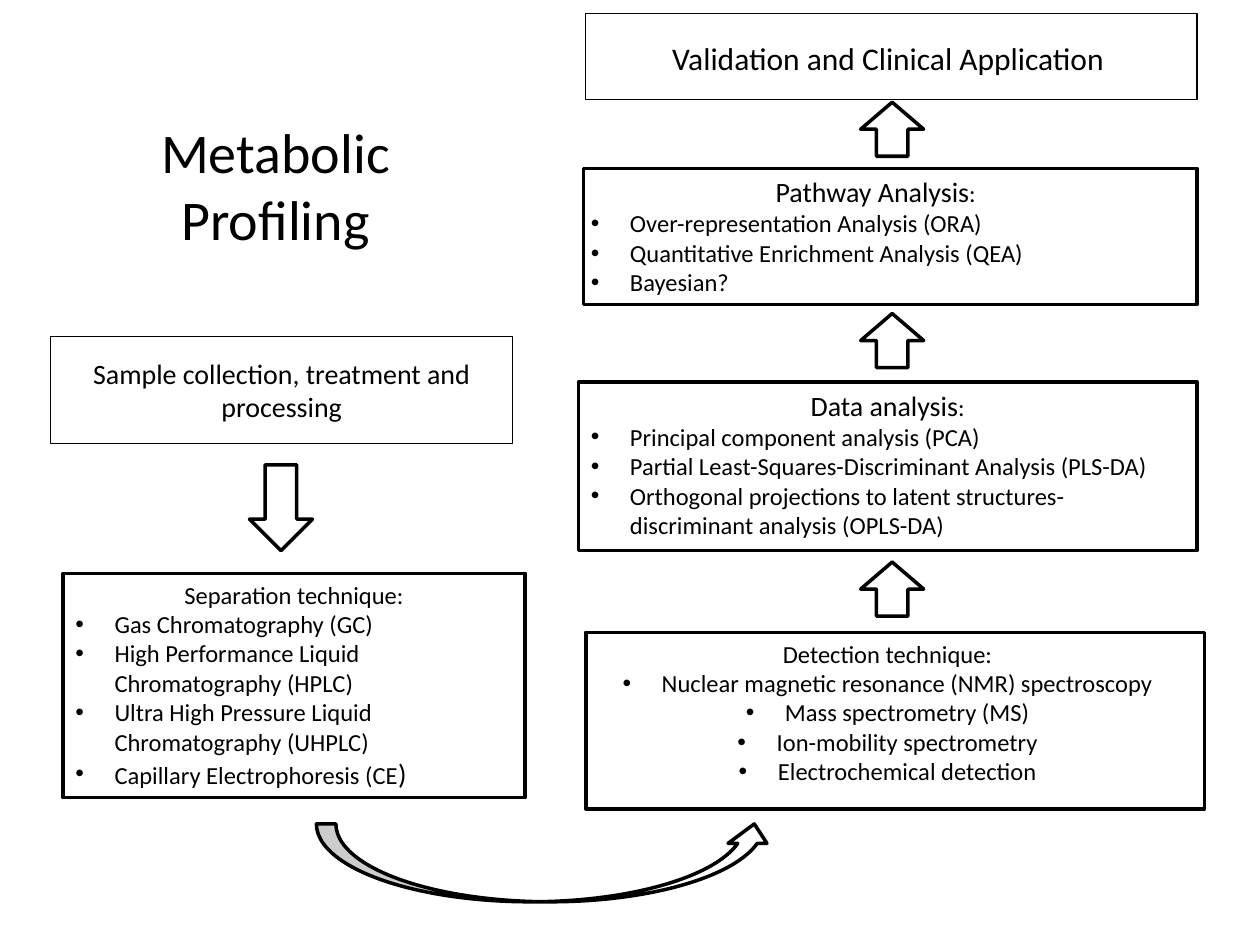
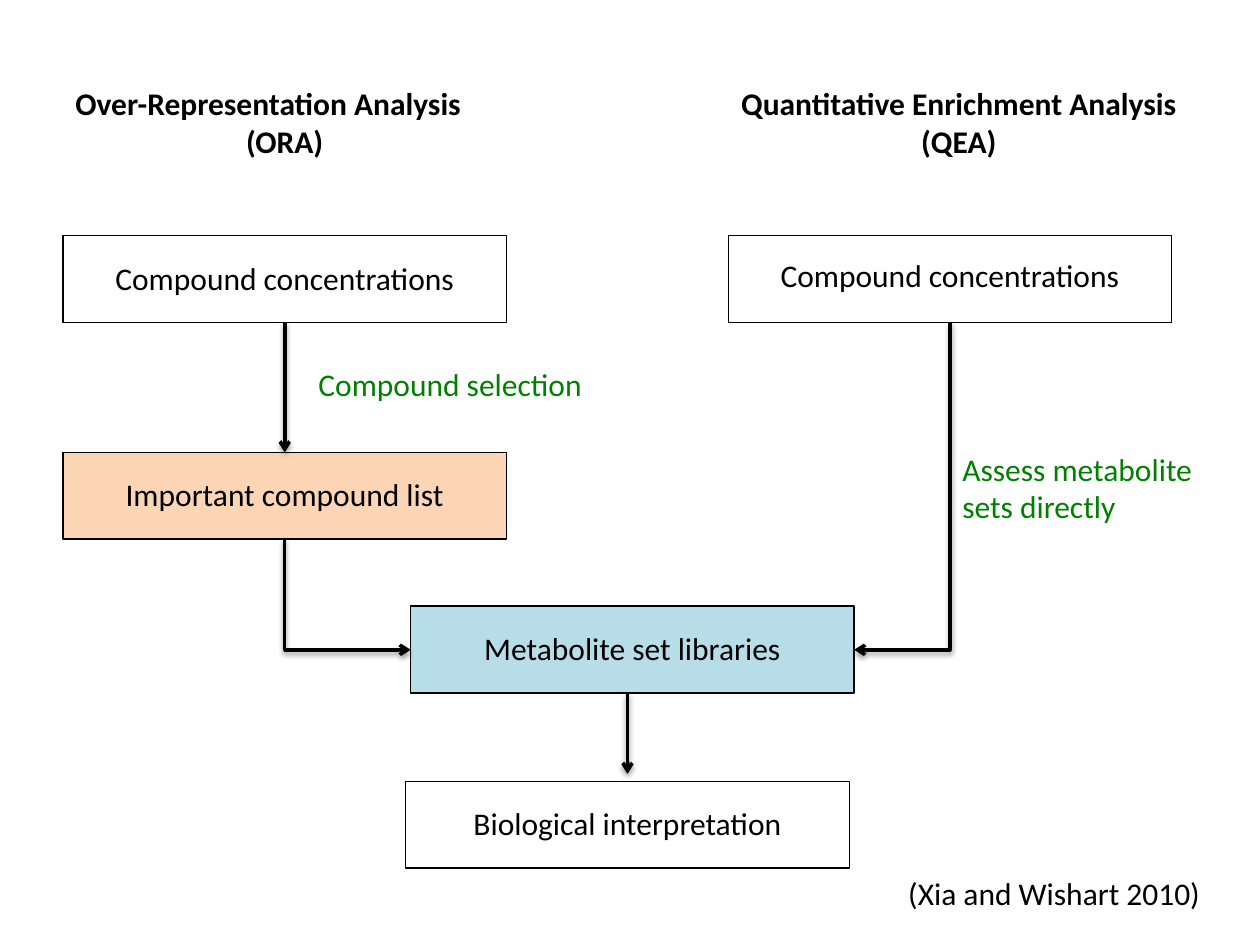
from lxml.etree import SubElement
from pptx import Presentation
from pptx.dml.color import RGBColor
from pptx.enum.shapes import MSO_CONNECTOR, MSO_SHAPE
from pptx.enum.text import MSO_ANCHOR, MSO_AUTO_SIZE, PP_ALIGN
from pptx.oxml.ns import qn
from pptx.util import Cm, Pt

FONT = "Calibri"
BLACK, WHITE, GREEN = "000000", "FFFFFF", "008000"
PEACH, BLUE = "FCD5B5", "B7DEE8"
THIN, THICK = 0.75, 2
LEFT, MID = PP_ALIGN.LEFT, PP_ALIGN.CENTER
NODE_W, NODE_H = 8.94, 1.75


def paint(part, shade):
    part.rgb = RGBColor.from_string(shade)


def place(spot):
    return [Cm(n) for n in spot]


def shape(slide, kind, spot, fill=WHITE, width=THICK, turn=0):
    item = slide.shapes.add_shape(kind, *place(spot))
    item.shadow.inherit = False
    item.rotation = turn
    if fill:
        item.fill.solid()
        paint(item.fill.fore_color, fill)
    else:
        item.fill.background()
    paint(item.line.color, BLACK)
    item.line.width = Pt(width)


def bullet(para):
    props = para._p.get_or_add_pPr()
    props.set("marL", str(Cm(0.79)))
    props.set("indent", str(-Cm(0.79)))
    SubElement(props, qn("a:buFont"), typeface="Arial")
    SubElement(props, qn("a:buChar"), char="•")


def style(para, size, shade=BLACK, bold=False, align=LEFT):
    para.alignment = align
    para.font.name = FONT
    para.font.size = Pt(size)
    para.font.bold = bold
    paint(para.font.color, shade)


def fill_in(para, words, tail=None):
    if not tail:
        para.text = words
        return
    para.add_run().text = words
    end = para.add_run()
    end.text, size = tail
    end.font.size = Pt(size)


def frame(slide, spot):
    text = slide.shapes.add_textbox(*place(spot)).text_frame
    text.word_wrap = True
    text.auto_size = MSO_AUTO_SIZE.SHAPE_TO_FIT_TEXT
    return text


def label(slide, spot, words, size=18, align=MID, shade=BLACK, bold=False):
    text = frame(slide, spot)
    fill_in(text.paragraphs[0], words)
    style(text.paragraphs[0], size, shade, bold, align)
    return text


def panel(slide, box, spot, head, items, align=LEFT, size=14, tail=None, end=None):
    shape(slide, MSO_SHAPE.RECTANGLE, box)
    text = frame(slide, spot)
    top = text.paragraphs[0]
    fill_in(top, head, tail)
    style(top, size, align=MID)
    for item in items:
        para = text.add_paragraph()
        bullet(para)
        fill_in(para, item, end if item == items[-1] else None)
        style(para, 14, align=align)


def node(slide, left, top, words, fill=None, drop=0.34):
    shape(slide, MSO_SHAPE.RECTANGLE, (left, top, NODE_W, NODE_H), fill, THIN)
    label(slide, (left, top + drop, NODE_W, 1.02), words)


def finish(line):
    paint(line.line.color, BLACK)
    line.line.width = Pt(THICK)
    props = line._element.spPr
    SubElement(props.find(qn("a:ln")), qn("a:tailEnd"), type="arrow")
    glow = SubElement(SubElement(props, qn("a:effectLst")), qn("a:outerShdw"),
                      blurRad="40000", dist="20000", dir="5400000", rotWithShape="0")
    tone = SubElement(glow, qn("a:srgbClr"), val=BLACK)
    SubElement(tone, qn("a:alpha"), val="38000")


def arrow(slide, x, top, low):
    finish(slide.shapes.add_connector(MSO_CONNECTOR.STRAIGHT, *place((x, top, x, low))))


def bend(slide, x, y, end_x, end_y):
    mid_x, mid_y = (x + end_x) / 2, (y + end_y) / 2
    half_w, half_h = (end_y - y) / 2, abs(end_x - x) / 2
    right = end_x > x
    if right:
        half_w = -half_w
    ends = (mid_x - half_w, mid_y - half_h, mid_x + half_w, mid_y + half_h)
    line = slide.shapes.add_connector(MSO_CONNECTOR.ELBOW, *place(ends))
    props = line._element.spPr
    props.find(qn("a:xfrm")).set("rot", str((270 if right else 90) * 60000))
    props.find(qn("a:prstGeom")).set("prst", "bentConnector2")
    finish(line)


def profile(deck):
    slide = deck.slides.add_slide(deck.slide_layouts[5])
    title = slide.shapes.title
    title.left, title.top, title.width, title.height = place((1.02, 1.73, 9.07, 3.99))
    title.text_frame.vertical_anchor = MSO_ANCHOR.MIDDLE
    title.text_frame.text = "Metabolic Profiling"
    style(title.text_frame.paragraphs[0], 32, align=MID)

    shape(slide, MSO_SHAPE.RECTANGLE, (1.02, 6.78, 9.32, 2.16), None, THIN)
    sample = label(slide, (1.02, 7.04, 9.32, 1.63),
                   "Sample collection, treatment and processing", 16)
    sample.vertical_anchor = MSO_ANCHOR.MIDDLE
    shape(slide, MSO_SHAPE.DOWN_ARROW, (5.03, 9.37, 1.27, 1.73))

    spot = (1.27, 11.56, 9.32, 4.52)
    panel(slide, spot, spot, "Separation technique:", [
        "Gas Chromatography (GC)",
        "High Performance Liquid Chromatography (HPLC)",
        "Ultra High Pressure Liquid Chromatography (UHPLC)",
        "Capillary Electrophoresis (CE",
    ], end=(")", 16))
    shape(slide, MSO_SHAPE.CURVED_UP_ARROW, (6.38, 16.61, 9.22, 1.57))

    panel(slide, (11.81, 12.75, 12.47, 3.56), (11.66, 12.75, 12.47, 3.3),
          "Detection technique:", [
        "Nuclear magnetic resonance (NMR) spectroscopy",
        "Mass spectrometry (MS)",
        "Ion-mobility spectrometry",
        "Electrochemical detection",
    ], MID)
    spot = (11.66, 7.7, 12.47, 3.4)
    panel(slide, spot, spot, "Data analysis", [
        "Principal component analysis (PCA)",
        "Partial Least-Squares-Discriminant Analysis (PLS-DA)",
        "Orthogonal projections to latent structures-discriminant analysis (OPLS-DA)",
    ], size=16, tail=(":", 14))
    panel(slide, (11.76, 3.4, 12.37, 2.74), (11.66, 3.4, 11.99, 2.74),
          "Pathway Analysis", [
        "Over-representation Analysis (ORA)",
        "Quantitative Enrichment Analysis (QEA)",
        "Bayesian?",
    ], size=16, tail=(":", 14))

    shape(slide, MSO_SHAPE.RECTANGLE, (11.81, 0.28, 12.32, 1.73), None, THIN)
    label(slide, (11.81, 0.66, 12.19, 1.02), "Validation and Clinical Application")
    for top in (11.33, 6.32, 2.06):
        shape(slide, MSO_SHAPE.DOWN_ARROW, (17.35, top, 1.27, 1.09), turn=180)


def pathway(deck):
    slide = deck.slides.add_slide(deck.slide_layouts[6])
    left = label(slide, (1.27, 1.57, NODE_W, 1.8), "Over-Representation Analysis",
                 align=LEFT, bold=True)
    short = left.add_paragraph()
    short.text = "(ORA)"
    style(short, 18, bold=True, align=MID)
    label(slide, (14.68, 1.57, 9.3, 1.8), "Quantitative Enrichment Analysis (QEA)",
          bold=True)

    node(slide, 1.27, 4.75, "Compound concentrations")
    node(slide, 14.68, 4.75, "Compound concentrations", drop=0.28)
    node(slide, 1.27, 9.12, "Important compound list", PEACH)
    node(slide, 8.28, 12.22, "Metabolite set libraries", BLUE)
    node(slide, 8.18, 15.75, "Biological interpretation", WHITE)

    arrow(slide, 5.74, 6.5, 9.12)
    bend(slide, 5.74, 10.87, 8.28, 13.1)
    bend(slide, 19.15, 6.5, 17.22, 13.1)
    arrow(slide, 12.65, 13.97, 15.6)

    label(slide, (6.17, 7.24, 7.01, 1.02), "Compound selection", align=LEFT, shade=GREEN)
    label(slide, (19.15, 8.94, 5.49, 1.8), "Assess metabolite sets directly",
          align=LEFT, shade=GREEN)
    label(slide, (18.06, 17.5, 6.91, 1.07), "(Xia and Wishart 2010)", align=LEFT)


def main():
    deck = Presentation()
    deck.slide_width, deck.slide_height = Cm(25.4), Cm(19.05)
    profile(deck)
    pathway(deck)
    deck.save("out.pptx")


if __name__ == "__main__":
    main()
